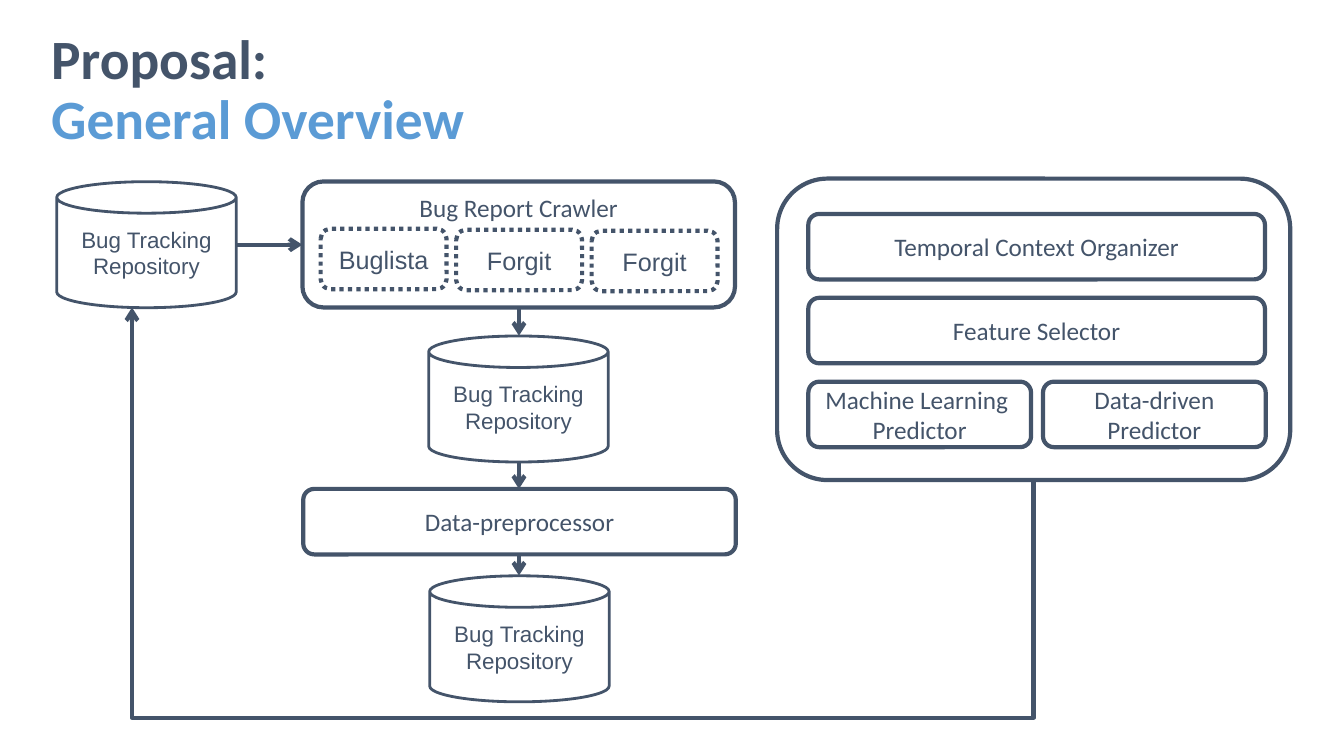
from lxml.etree import SubElement
from pptx import Presentation
from pptx.dml.color import RGBColor
from pptx.enum.dml import MSO_LINE
from pptx.enum.shapes import MSO_CONNECTOR, MSO_SHAPE
from pptx.enum.text import MSO_ANCHOR, PP_ALIGN
from pptx.oxml.ns import qn
from pptx.util import Pt

COLORS = {"ink": "44546A", "accent": "5B9BD5", "paper": "FFFFFF"}
INK, ACCENT, PAPER = (RGBColor.from_string(value) for value in COLORS.values())

deck = Presentation()
deck.slide_width, deck.slide_height = Pt(960), Pt(540)
slide = deck.slides.add_slide(deck.slide_layouts[6])


def add_block(kind, left, top, width, height, lines=(), font="Calibri", size=18,
              weight=3, anchor=MSO_ANCHOR.MIDDLE):
    """Add an outlined shape with one centred paragraph per line."""
    block = slide.shapes.add_shape(kind, Pt(left), Pt(top), Pt(width), Pt(height))
    block.shadow.inherit = False
    block.fill.solid()
    block.fill.fore_color.rgb = PAPER
    block.line.color.rgb = INK
    block.line.width = Pt(weight)
    frame = block.text_frame
    frame.word_wrap = True
    frame.vertical_anchor = anchor
    for index, line in enumerate(lines):
        paragraph = frame.add_paragraph() if index else frame.paragraphs[0]
        paragraph.alignment = PP_ALIGN.CENTER
        run = paragraph.add_run()
        run.text = line
        run.font.name, run.font.size = font, Pt(size)
        run.font.color.rgb = INK
    return block


def add_arrow(kind, x1, y1, x2, y2):
    arrow = slide.shapes.add_connector(kind, Pt(x1), Pt(y1), Pt(x2), Pt(y2))
    arrow.line.color.rgb = INK
    arrow.line.width = Pt(3)
    outline = arrow._element.spPr.find(qn("a:ln"))
    SubElement(outline, qn("a:tailEnd"), type="arrow")
    SubElement(arrow._element.spPr, qn("a:effectLst"))
    return arrow


# Title
title = slide.shapes.add_textbox(Pt(29.5), Pt(28.8), Pt(828), Pt(73.4)).text_frame
title.word_wrap = True
title.vertical_anchor = MSO_ANCHOR.MIDDLE
heading = title.paragraphs[0]
heading.line_spacing = 0.9
for words, color in (("Proposal:", INK), ("General Overview", ACCENT)):
    if heading.runs:
        heading.add_line_break()
    run = heading.add_run()
    run.text = words
    run.font.name, run.font.size, run.font.bold = "Calibri", Pt(39.6), True
    run.font.color.rgb = color

# Crawling and preprocessing
ROUNDED = MSO_SHAPE.ROUNDED_RECTANGLE
add_block(ROUNDED, 216, 129.6, 309, 90, ["Bug Report Crawler"], anchor=MSO_ANCHOR.TOP)
for column, tracker in enumerate(("Buglista", "Forgit", "Forgit")):
    crawler = add_block(ROUNDED, 229 + 96.8 * column, 163.4 + 0.7 * column, 90, 43.2,
                        [tracker], font="Arial")
    crawler.line.dash_style = MSO_LINE.ROUND_DOT
add_block(ROUNDED, 216.6, 349.2, 309, 46.8, ["Data-preprocessor"])
for left, top in ((40.5, 129.8), (306.2, 240), (306.9, 411.3)):
    add_block(MSO_SHAPE.CAN, left, top, 128.2, 90, ["Bug Tracking Repository"],
              font="Arial", size=16, weight=2)

# Prediction panel
add_block(ROUNDED, 555.1, 127.6, 366.5, 215.3)
ROW_TOP, ROW_STEP, ROW_HEIGHT = 152.8, 59.9, 46.8
for row, stage in enumerate(("Temporal Context Organizer", "Feature Selector")):
    add_block(ROUNDED, 577.4, ROW_TOP + ROW_STEP * row, 326.2, ROW_HEIGHT, [stage])
for column, predictor in enumerate((["Machine Learning ", "Predictor"],
                                    ["Data-driven", "Predictor"])):
    add_block(ROUNDED, 577.4 + 167.6 * column, ROW_TOP + ROW_STEP * 2, 159.1,
              ROW_HEIGHT, predictor)

# Flow
for flow in ((169, 174.8, 216, 174.8), (370.7, 219.6, 370.7, 239.8),
             (370.7, 329.8, 370.7, 349.2), (370.7, 396, 370.7, 411.1)):
    add_arrow(MSO_CONNECTOR.STRAIGHT, *flow)

# Feedback runs down, left and up: an elbow turned by 90 degrees about its centre
start_x, start_y, end_x, end_y, low_y = 738.3, 342.7, 94.3, 219.6, 512.6
center_x, center_y = (start_x + end_x) / 2, (start_y + end_y) / 2
rise, reach = start_y - end_y, start_x - end_x
feedback = add_arrow(MSO_CONNECTOR.ELBOW, center_x + rise / 2, center_y - reach / 2,
                     center_x - rise / 2, center_y + reach / 2)
properties = feedback._element.spPr
properties.find(qn("a:xfrm")).set("rot", str(90 * 60000))
bend = round((start_y - low_y) / rise * 100000)
SubElement(properties.find(qn("a:prstGeom")).find(qn("a:avLst")), qn("a:gd"),
           name="adj1", fmla=f"val {bend}")

deck.save("out.pptx")
